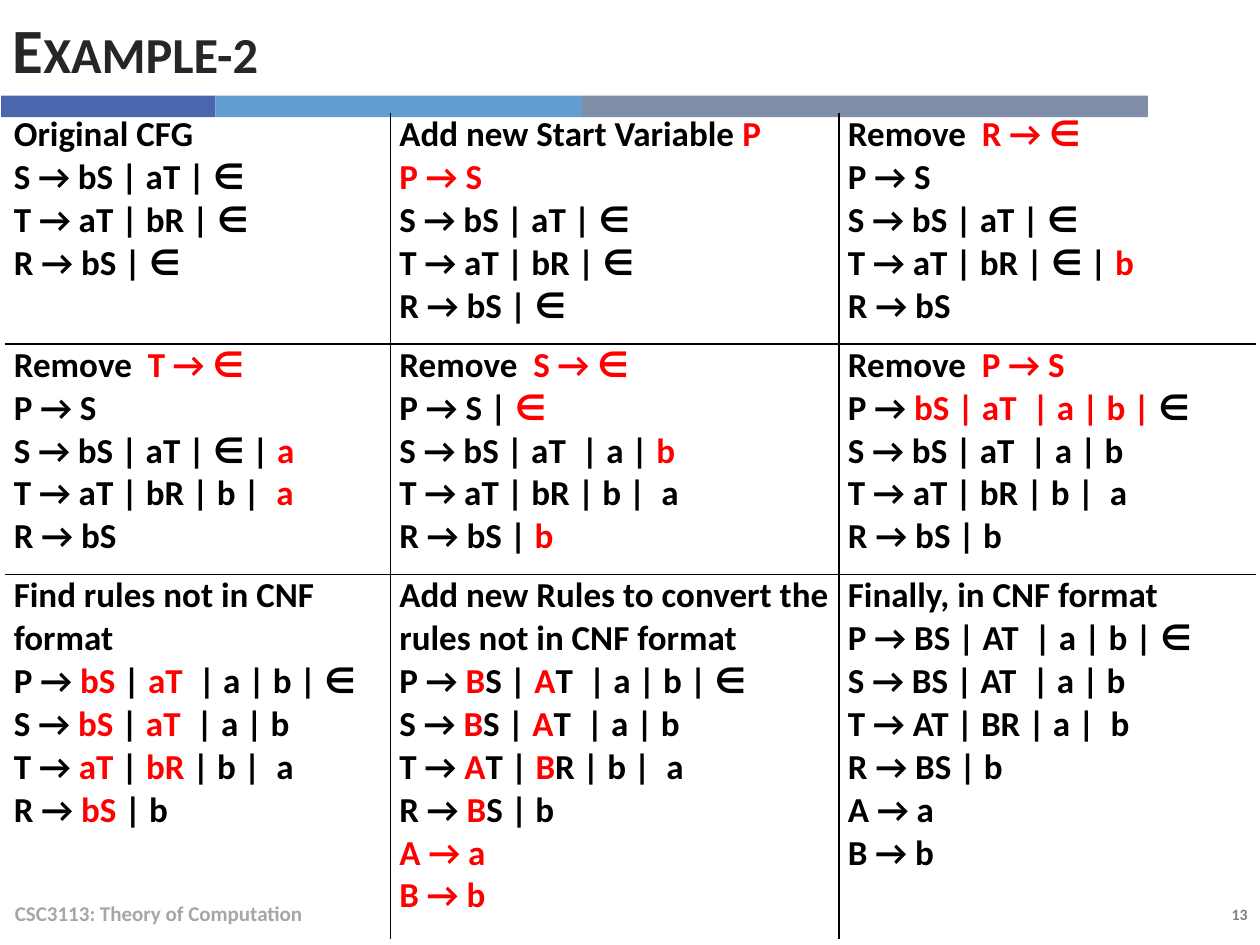
from lxml.etree import SubElement
from pptx import Presentation
from pptx.dml.color import RGBColor
from pptx.enum.shapes import MSO_SHAPE
from pptx.enum.text import MSO_ANCHOR, MSO_AUTO_SIZE, PP_ALIGN
from pptx.oxml.ns import qn
from pptx.util import Inches, Pt

FONT = "Calibri"
BLACK = RGBColor(0x00, 0x00, 0x00)
RED = RGBColor(0xFF, 0x00, 0x00)
TITLE_INK = RGBColor(0x26, 0x26, 0x26)
FOOTER_GREY = RGBColor(0xA6, 0xA6, 0xA6)
NUMBER_GREY = RGBColor(0x80, 0x80, 0x80)
BANDS = [
    (1.70, RGBColor(0x4A, 0x66, 0xAC)),
    (2.91, RGBColor(0x62, 0x9D, 0xD1)),
    (4.49, RGBColor(0x7F, 0x8F, 0xA9)),
]
COLUMNS = [3.06, 3.56, 3.31]
ROWS = [1.83, 1.83, 2.89]

# Text between asterisks is red.
STEPS = [
    [
        ["Original CFG", "S → bS | aT | ∈", "T → aT | bR | ∈", "R → bS | ∈"],
        ["Add new Start Variable *P*", "*P → S*", "S → bS | aT | ∈",
         "T → aT | bR | ∈", "R → bS | ∈"],
        ["Remove  *R → ∈*", "P → S", "S → bS | aT | ∈",
         "T → aT | bR | ∈ | *b*", "R → bS"],
    ],
    [
        ["Remove  *T → ∈*", "P → S", "S → bS | aT | ∈ | *a*",
         "T → aT | bR | b |  *a*", "R → bS"],
        ["Remove  *S → ∈*", "P → S | *∈*", "S → bS | aT  | a | *b*",
         "T → aT | bR | b |  a", "R → bS | *b*"],
        ["Remove  *P → S*", "P → *bS | aT  | a | b | *∈",
         "S → bS | aT  | a | b", "T → aT | bR | b |  a", "R → bS | b"],
    ],
    [
        ["Find rules not in CNF format", "P → *bS* | *aT*  | a | b | ∈",
         "S → *bS* | *aT*  | a | b", "T → *aT* | *bR *| b |  a",
         "R → *bS *| b"],
        ["Add new Rules to convert the rules not in CNF format",
         "P → *B*S | *A*T  | a | b | ∈", "S → *B*S | *A*T  | a | b",
         "T → *A*T | *B*R | b |  a", "R → *B*S | b", "*A → a*", "*B → b*"],
        ["Finally, in CNF format", "P → BS | AT  | a | b | ∈",
         "S → BS | AT  | a | b", "T → AT | BR | a |  b", "R → BS | b ",
         "A → a", "B → b"],
    ],
]


def style_run(r, size, color):
    """Give a run the bold slide font."""
    r.font.name = FONT
    r.font.size = Pt(size)
    r.font.bold = True
    r.font.color.rgb = color


def add_title(slide, text, left, top, width, height):
    """Place the small-caps title in its placeholder."""
    sp = slide.shapes.title
    sp.left, sp.top, sp.width, sp.height = map(Inches, (left, top, width, height))
    tf = sp.text_frame
    tf.text = text
    tf.auto_size = MSO_AUTO_SIZE.NONE
    tf.vertical_anchor = MSO_ANCHOR.MIDDLE
    p = tf.paragraphs[0]
    p.alignment = PP_ALIGN.LEFT
    p.space_before = Pt(6)
    style_run(p.runs[0], 36, TITLE_INK)
    p.runs[0].font._element.set("cap", "small")


def add_bands(slide, left, top, height):
    """Lay the coloured bands end to end."""
    for width, color in BANDS:
        sp = slide.shapes.add_shape(MSO_SHAPE.RECTANGLE, Inches(left), Inches(top),
                                    Inches(width), Inches(height))
        sp.shadow.inherit = False
        sp.fill.solid()
        sp.fill.fore_color.rgb = color
        sp.line.fill.background()
        left += width


def add_label(slide, text, box, size, color, align):
    """Add one line of text for the foot of the slide."""
    tf = slide.shapes.add_textbox(*map(Inches, box)).text_frame
    tf.word_wrap = True
    tf.vertical_anchor = MSO_ANCHOR.MIDDLE
    tf.text = text
    p = tf.paragraphs[0]
    p.alignment = align
    style_run(p.runs[0], size, color)


def set_borders(cell, visible):
    """Draw the named sides in black and clear the others."""
    tc_pr = cell._tc.get_or_add_tcPr()
    for side in ("L", "R", "T", "B"):
        ln = SubElement(tc_pr, qn(f"a:ln{side}"), w=str(Pt(1)))
        if side in visible:
            fill = SubElement(ln, qn("a:solidFill"))
            SubElement(fill, qn("a:srgbClr"), val=str(BLACK))
        else:
            SubElement(ln, qn("a:noFill"))


def fill_cell(cell, lines):
    """Write the lines of one step, with marked parts in red."""
    cell.margin_left = cell.margin_right = Inches(0.07)
    cell.margin_top = cell.margin_bottom = 0
    tf = cell.text_frame
    tf.text = "\n".join(line.replace("*", "") for line in lines)
    for p, line in zip(tf.paragraphs, lines):
        p.clear()
        for i, part in enumerate(line.split("*")):
            if part:
                r = p.add_run()
                r.text = part
                style_run(r, 20, RED if i % 2 else BLACK)


def add_steps(slide, left, top):
    """Add the table of conversion steps, with inner rules only."""
    table = slide.shapes.add_table(
        len(ROWS), len(COLUMNS), Inches(left), Inches(top),
        Inches(sum(COLUMNS)), Inches(sum(ROWS))).table
    table.first_row = table.horz_banding = False
    for column, width in zip(table.columns, COLUMNS):
        column.width = Inches(width)
    for i, height in enumerate(ROWS):
        table.rows[i].height = Inches(height)
        for j in range(len(COLUMNS)):
            cell = table.cell(i, j)
            inner = {"L": j > 0, "R": j < len(COLUMNS) - 1,
                     "T": i > 0, "B": i < len(ROWS) - 1}
            set_borders(cell, [side for side in inner if inner[side]])
            cell.fill.background()
            fill_cell(cell, STEPS[i][j])


def build_slide(prs):
    """Build the slide of the worked example."""
    slide = prs.slides.add_slide(prs.slide_layouts.get_by_name("Title Only"))
    add_label(slide, "13", (8.73, 7.13, 1.27, 0.25), 9, NUMBER_GREY, PP_ALIGN.RIGHT)
    add_bands(slide, 0.01, 0.76, 0.17)
    add_label(slide, "CSC3113: Theory of Computation", (0.02, 7.05, 6.7, 0.4),
              12, FOOTER_GREY, PP_ALIGN.LEFT)
    add_title(slide, "Example-2", 0, 0, 9.1, 0.76)
    add_steps(slide, 0.04, 0.9)


prs = Presentation()
prs.slide_width, prs.slide_height = Inches(10), Inches(7.5)
build_slide(prs)
prs.save("out.pptx")
